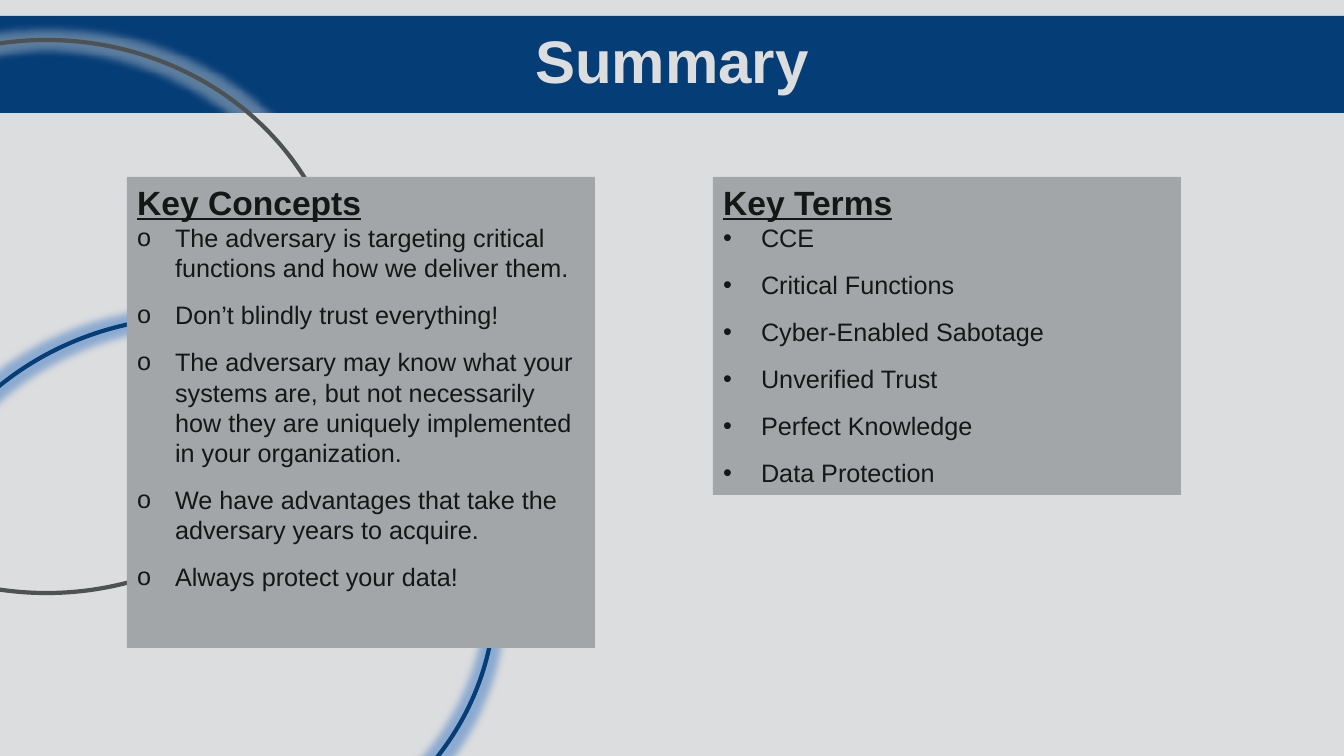
import lxml.etree
import pptx
import pptx.dml.color
import pptx.enum.shapes
import pptx.enum.text
import pptx.oxml
import pptx.oxml.ns
import pptx.util

EMU_PER_PX = 914400 / 100.8
COLORS = {
    "background": "DCDDDE",
    "navy": "053D76",
    "charcoal": "4E5252",
    "panel": "A3A6A8",
    "ink": "151616",
    "blue_glow": "145FBB",
}
RING_SIZE = (597, 553)
PANEL_TOP, PANEL_WIDTH = 177, 468
INDENT = 38
CONCEPTS = [
    "The adversary is targeting critical functions and how we deliver them.",
    "Don’t blindly trust everything!",
    "The adversary may know what your systems are, but not necessarily "
    "how they are uniquely implemented in your organization.",
    "We have advantages that take the adversary years to acquire.",
    "Always protect your data!",
]
TERMS = [
    "CCE",
    "Critical Functions",
    "Cyber-Enabled Sabotage",
    "Unverified Trust",
    "Perfect Knowledge",
    "Data Protection",
]


def px(length):
    """Turn pixels into EMU."""
    return pptx.util.Emu(round(length * EMU_PER_PX))


def color(name):
    """Return the named colour."""
    return pptx.dml.color.RGBColor.from_string(COLORS[name])


def fill_solid(target, name):
    """Give a shape or background a solid fill."""
    target.fill.solid()
    target.fill.fore_color.rgb = color(name)


def place(shape, box):
    """Move and size a shape to a pixel box."""
    shape.left, shape.top, shape.width, shape.height = map(px, box)


def write(paragraph, text, size, ink="ink", bold=False, underline=False,
          align=pptx.enum.text.PP_ALIGN.LEFT, spacing=1.0, after=0, bullet=None):
    """Write one formatted paragraph, with a bullet if given."""
    properties = paragraph._p.get_or_add_pPr()
    indent = px(INDENT) if bullet else 0
    properties.set("marL", str(indent))
    properties.set("indent", str(-indent))
    if bullet:
        font = lxml.etree.SubElement(properties, pptx.oxml.ns.qn("a:buFont"))
        font.set("typeface", "Arial")
        mark = lxml.etree.SubElement(properties, pptx.oxml.ns.qn("a:buChar"))
        mark.set("char", bullet)
    else:
        lxml.etree.SubElement(properties, pptx.oxml.ns.qn("a:buNone"))
    paragraph.alignment = align
    paragraph.line_spacing = spacing
    paragraph.space_before = pptx.util.Pt(0)
    paragraph.space_after = pptx.util.Pt(after)
    run = paragraph.add_run()
    run.text = text
    run.font.name = "Arial"
    run.font.size = pptx.util.Pt(size)
    run.font.bold = bold
    run.font.underline = underline
    run.font.color.rgb = color(ink)


def prepare_frame(shape, anchor):
    """Set wrapping, fitting and anchoring of a shape's text."""
    frame = shape.text_frame
    frame.word_wrap = True
    frame.auto_size = pptx.enum.text.MSO_AUTO_SIZE.NONE
    frame.vertical_anchor = anchor
    return frame


def add_title(slide, box, text):
    """Turn the title placeholder into the banner."""
    title = slide.shapes.title
    place(title, box)
    fill_solid(title, "navy")
    frame = prepare_frame(title, pptx.enum.text.MSO_ANCHOR.MIDDLE)
    write(frame.paragraphs[0], text, 42.9, ink="background", bold=True,
          align=pptx.enum.text.PP_ALIGN.CENTER, spacing=0.9)


def add_ring(slide, box, line, glow):
    """Draw an unfilled ring with a soft glow."""
    ring = slide.shapes.add_shape(pptx.enum.shapes.MSO_SHAPE.OVAL, *map(px, box))
    ring.shadow.inherit = False
    ring.fill.background()
    ring.line.color.rgb = color(line)
    ring.line.width = pptx.util.Pt(3)
    effects = ring.element.spPr.find(pptx.oxml.ns.qn("a:effectLst"))
    effects.append(pptx.oxml.parse_xml(
        f'<a:glow {pptx.oxml.ns.nsdecls("a")} rad="139700">'
        f'<a:srgbClr val="{COLORS[glow]}"><a:alpha val="40000"/></a:srgbClr></a:glow>'))


def add_panel(slide, index, box, heading, items, bullet):
    """Fill a body placeholder with a heading and list, above the rings."""
    panel = slide.placeholders[index]
    slide.shapes.element.append(panel.element)
    place(panel, box)
    fill_solid(panel, "panel")
    frame = prepare_frame(panel, pptx.enum.text.MSO_ANCHOR.TOP)
    write(frame.paragraphs[0], heading, 24, bold=True, underline=True)
    for item in items:
        write(frame.add_paragraph(), item, 18, after=12, bullet=bullet)


def main():
    """Build and save the summary slide."""
    presentation = pptx.Presentation()
    presentation.slide_width, presentation.slide_height = px(1344), px(756)
    slide = presentation.slides.add_slide(presentation.slide_layouts[3])
    fill_solid(slide.background, "background")
    add_title(slide, (0, 16, 1344, 97), "Summary")
    add_ring(slide, (-102, 317, *RING_SIZE), "navy", "blue_glow")
    add_ring(slide, (-252, 40, *RING_SIZE), "charcoal", "background")
    add_panel(slide, 2, (713, PANEL_TOP, PANEL_WIDTH, 318), "Key Terms", TERMS, "•")
    add_panel(slide, 1, (127, PANEL_TOP, PANEL_WIDTH, 471), "Key Concepts", CONCEPTS, "o")
    presentation.save("out.pptx")


if __name__ == "__main__":
    main()
